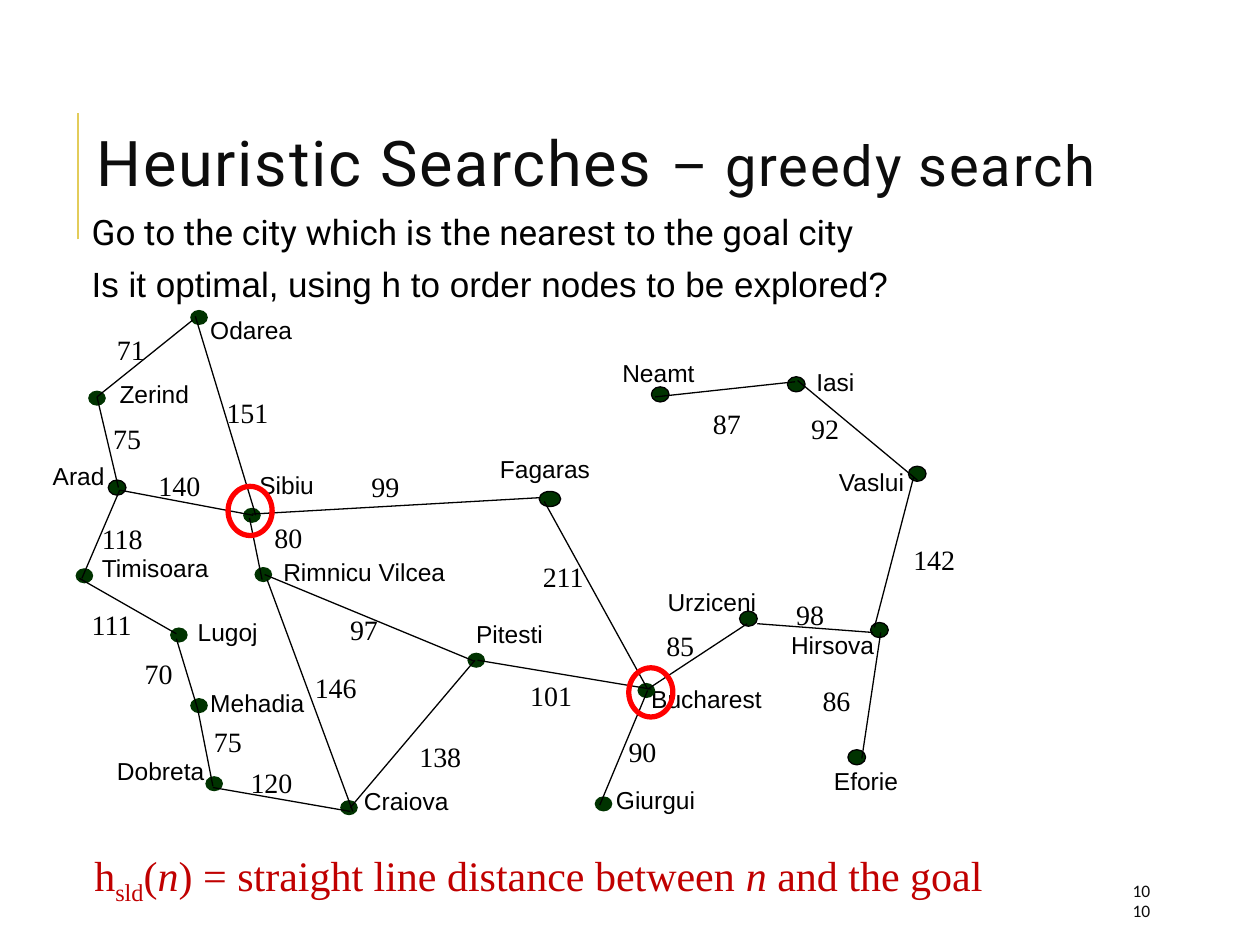
from lxml.etree import SubElement
from pptx import Presentation
from pptx.dml.color import RGBColor
from pptx.enum.shapes import MSO_CONNECTOR as CONNECTOR, MSO_SHAPE as SHAPE
from pptx.enum.text import MSO_ANCHOR as ANCHOR, PP_ALIGN as ALIGN
from pptx.oxml.ns import qn
from pptx.util import Emu, Pt

PX = 9144
COLORS = {
    "white": "FFFFFF", "black": "000000", "ink": "0D0D0D", "node": "003300",
    "ring": "FF0000", "formula": "C00000", "accent": "E3CC5A",
}

deck = Presentation()
deck.slide_width, deck.slide_height = Emu(1000 * PX), Emu(750 * PX)
slide = deck.slides.add_slide(deck.slide_layouts[6])
shapes = slide.shapes


def add_part(kind, box, fill=None, line=None, width=0.75):
    place = [Emu(n * PX) for n in box]
    if kind == "text":
        part = shapes.add_textbox(*place)
    elif kind == "line":
        part = shapes.add_connector(CONNECTOR.STRAIGHT, *place)
    else:
        part = shapes.add_shape(kind, *place)
        part.shadow.inherit = False
        if fill:
            part.fill.solid()
            part.fill.fore_color.rgb = RGBColor.from_string(COLORS[fill])
        else:
            part.fill.background()
    if line:
        part.line.color.rgb = RGBColor.from_string(COLORS[line])
        part.line.width = Pt(width)
    elif kind != "text":
        part.line.fill.background()
    if kind == "line":
        SubElement(part._element.spPr, qn("a:effectLst"))
    return part


def write(part, texts, size, font, color="black", anchor=ANCHOR.TOP):
    frame = part.text_frame
    frame.word_wrap = True
    frame.vertical_anchor = anchor
    paragraph = frame.paragraphs[0]
    paragraph.alignment = ALIGN.LEFT
    for text in texts:
        run = paragraph.add_run()
        run.text = text
        run.font.size = Pt(size)
        run.font.name = font
        run.font.color.rgb = RGBColor.from_string(COLORS[color])
    return paragraph


add_part("line", (62, 190, 62, 90), line="accent", width=1.5)

title = write(add_part("text", (67, 52, 917, 164)), ["Heuristic Searches ", "– greedy search"],
              36, "Roboto", "ink", ANCHOR.MIDDLE)
title.line_spacing = 0.8
title.space_after = Pt(3)
title.runs[1].font.size = Pt(32)
for run in title.runs:
    run.font._element.set("spc", "100")

intro = add_part("text", (63, 162, 717, 86))
write(intro, ["Go to the city which is the nearest to the goal city"], 20, "Roboto")
question = intro.text_frame.add_paragraph()
question.text = "Is it optimal, using h to order nodes to be explored?"
question.runs[0].font.size = Pt(20)
question.runs[0].font.name = "Arial"
question.runs[0].font.color.rgb = RGBColor.from_string(COLORS["black"])
for paragraph in intro.text_frame.paragraphs:
    paragraph.space_before = Pt(6)

cities = [
    ("Bucharest", (507, 538, 114, 40), (506, 542), None),
    ("Zerind", (85, 296, 99, 41), (70, 310), None),
    ("Arad", (32, 361, 78, 41), (86, 381), "black"),
    ("Timisoara", (71, 434, 128, 41), (60, 451), None),
    ("Lugoj", (147, 485, 128, 41), (135, 498), None),
    ("Mehadia", (157, 541, 128, 41), (151, 554), None),
    ("Dobreta", (83, 595, 128, 41), (163, 616), None),
    ("Craiova", (279, 619, 179, 41), (270, 635), None),
    ("Rimnicu Vilcea", (215, 437, 179, 41), (202, 450), None),
    ("Sibiu", (196, 368, 128, 41), (193, 403), None),
    ("Pitesti", (368, 486, 89, 41), (371, 518), None),
    ("Giurgui", (479, 618, 102, 40), (472, 632), None),
    ("Urziceni", (520, 461, 106, 41), (587, 485), "black"),
    ("Hirsova", (618, 495, 93, 38), (691, 494), "black"),
    ("Eforie", (652, 603, 89, 41), (673, 595), "black"),
    ("Vaslui", (656, 366, 89, 40), (721, 370), "black"),
    ("Iasi", (638, 286, 89, 41), (625, 299), "black"),
    ("Neamt", (484, 279, 89, 41), (517, 307), "black"),
    ("Odarea", (157, 245, 99, 41), (151, 246), None),
    ("Fagaras", (387, 355, 104, 41), (428, 390), "black"),
]
for city, label_box, dot, outline in cities:
    write(add_part(SHAPE.RECTANGLE, label_box, "white"), [city], 14, "Arial")
    dot_width = 17 if city == "Fagaras" else 14
    add_part(SHAPE.OVAL, (*dot, dot_width, 12), "node", outline)

roads = [
    ((153, 254, 77, 315), "71", (83, 259)),
    ((77, 315, 94, 387), "75", (80, 330)),
    ((155, 251, 203, 409), "151", (170, 309)),
    ((95, 389, 201, 409), "140", (116, 367)),
    ((95, 389, 65, 459), "118", (71, 409)),
    ((63, 459, 140, 503), "111", (63, 477)),
    ((140, 507, 157, 563), "70", (105, 516)),
    ((157, 563, 169, 624), "75", (160, 570)),
    ((169, 625, 278, 644), "120", (189, 603)),
    ((198, 411, 208, 460), "80", (208, 408)),
    ((212, 460, 280, 644), "146", (240, 527)),
    ((210, 456, 377, 525), "97", (268, 481)),
    ((377, 524, 278, 641), "138", (323, 582)),
    ((379, 524, 517, 547), "101", (411, 534)),
    ((514, 548, 476, 639), "90", (489, 578)),
    ((514, 547, 593, 495), "85", (519, 494)),
    ((699, 502, 684, 602), "86", (643, 538)),
    ((694, 498, 725, 379), "142", (715, 426)),
    ((728, 381, 633, 302), "92", (634, 322)),
    ((631, 303, 520, 315), "87", (556, 318)),
    ((601, 495, 693, 502), "98", (622, 469)),
    ((200, 408, 428, 395), "99", (285, 368)),
    ((432, 398, 514, 547), "211", (421, 439)),
]
for ends, distance, corner in roads:
    add_part("line", ends, line="black")

for ring in [(499, 530), (181, 386)]:
    add_part(SHAPE.OVAL, (*ring, 35, 39), line="ring", width=3)

formula = write(add_part(SHAPE.RECTANGLE, (65, 669, 759, 50), "white"),
                ["h", "sld", "(", "n", ") = straight line distance between ", "n", " and the goal"],
                24, "Times New Roman", "formula")
formula.runs[1].font._element.set("baseline", "-25000")
for run in formula.runs:
    run.font.italic = run.text == "n"

for ends, distance, corner in roads:
    distance_width = 67 if len(distance) == 3 else 50
    write(add_part("text", (*corner, distance_width, 37)), [distance], 16, "Times New Roman")

for top in (708, 692):
    write(add_part("text", (889, top, 80, 30)), ["10"], 10, "Calibri", "ink", ANCHOR.MIDDLE)

deck.save("out.pptx")
